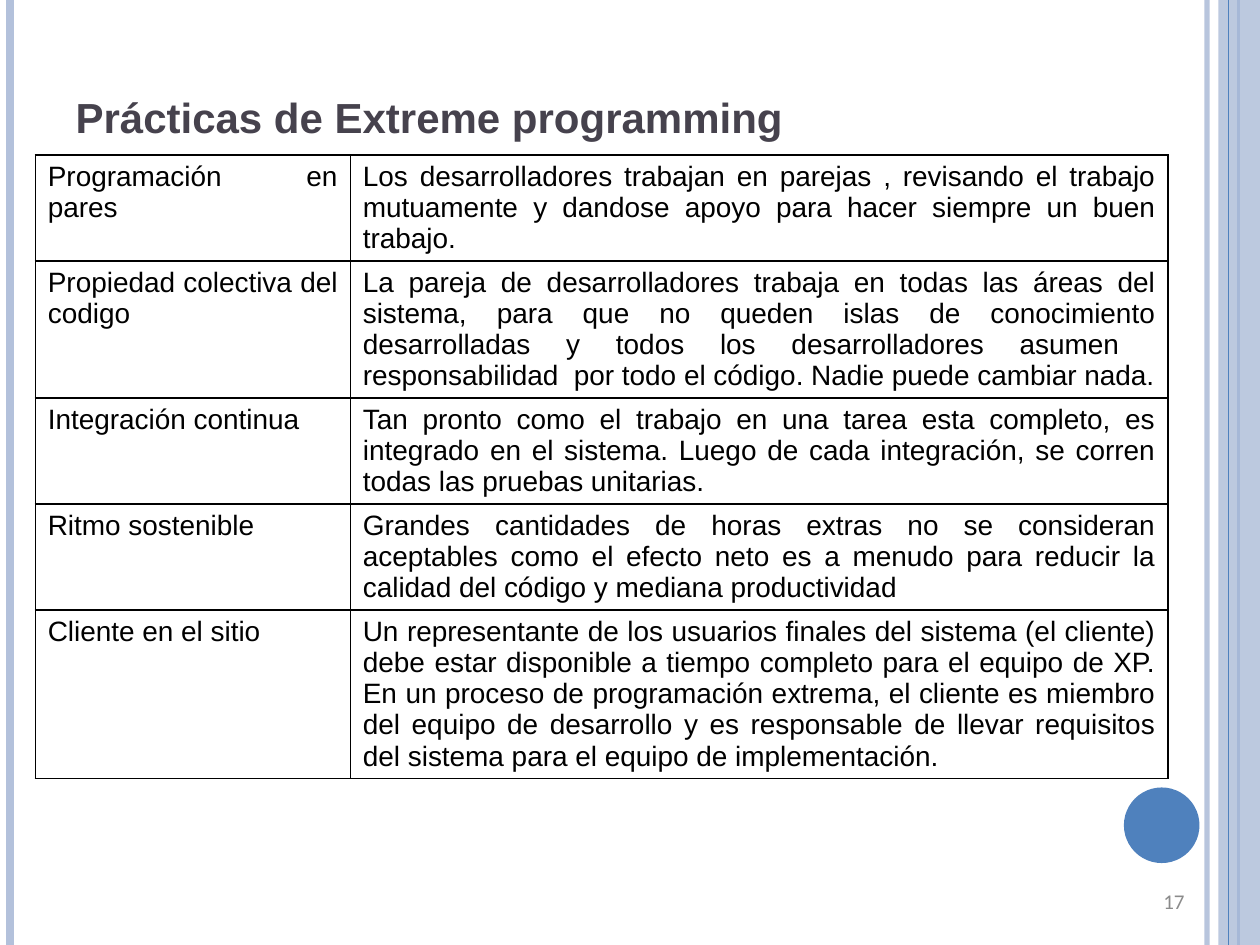
from pptx import Presentation
from pptx.dml.color import RGBColor
from pptx.enum import shapes, text
from pptx.oxml import parse_xml
from pptx.oxml.ns import nsdecls, qn
from pptx.util import Inches, Pt

PALE_BLUE = RGBColor(0xB3, 0xC1, 0xDB)
BLUE = RGBColor(0x4F, 0x81, 0xBD)
TITLE_GREY = RGBColor(0x46, 0x42, 0x4D)
NUMBER_GREY = RGBColor(0x8B, 0x8B, 0x8B)
BLACK = RGBColor(0, 0, 0)

COLUMN_WIDTHS = (2.5, 6.49)
ROW_HEIGHTS = (0.84, 1.09, 0.84, 0.84, 1.33)
PRACTICES = (
    ("Programación en pares",
     "Los desarrolladores trabajan en parejas , revisando el trabajo mutuamente "
     "y dandose apoyo para hacer siempre un buen trabajo."),
    ("Propiedad colectiva del codigo",
     "La pareja de desarrolladores trabaja en todas las áreas del sistema, para "
     "que no queden islas de conocimiento desarrolladas y todos los "
     "desarrolladores asumen  responsabilidad  por todo el código. Nadie puede "
     "cambiar nada."),
    ("Integración continua",
     "Tan pronto como el trabajo en una tarea esta completo, es integrado en el "
     "sistema. Luego de cada integración, se corren todas las pruebas unitarias."),
    ("Ritmo sostenible",
     "Grandes cantidades de horas extras no se consideran aceptables como el "
     "efecto neto es a menudo para reducir la calidad del código y mediana "
     "productividad"),
    ("Cliente en el sitio ",
     "Un representante de los usuarios finales del sistema (el cliente) debe "
     "estar disponible a tiempo completo para el equipo de XP. En un proceso de "
     "programación extrema, el cliente es miembro del equipo de desarrollo y es "
     "responsable de llevar requisitos del sistema para el equipo de "
     "implementación."),
)


def set_alpha(fill_parent, percent):
    color = fill_parent.find(".//" + qn("a:srgbClr"))
    color.append(parse_xml(f'<a:alpha {nsdecls("a")} val="{percent * 1000}"/>'))


def set_font(paragraph, name, size, color, bold=False):
    font = paragraph.font
    font.name, font.size, font.bold = name, Pt(size), bold
    font.color.rgb = color


def add_stripe(slide, x, width, color, alpha=100):
    stripe = slide.shapes.add_connector(
        shapes.MSO_CONNECTOR.STRAIGHT, Inches(x), 0, Inches(x), Inches(7.5))
    stripe.line.width = Pt(width)
    stripe.line.color.rgb = color
    properties = stripe._element.spPr
    properties.append(parse_xml(f'<a:effectLst {nsdecls("a")}/>'))
    if alpha < 100:
        set_alpha(properties, alpha)


def add_plain_shape(slide, kind, left, top, width, height, color, alpha=100):
    shape = slide.shapes.add_shape(
        kind, Inches(left), Inches(top), Inches(width), Inches(height))
    shape.shadow.inherit = False
    shape.fill.solid()
    shape.fill.fore_color.rgb = color
    shape.line.fill.background()
    if alpha < 100:
        set_alpha(shape._element.spPr, alpha)


def add_decoration(slide):
    add_stripe(slide, 9.58, 3, PALE_BLUE, alpha=93)
    add_stripe(slide, 0.08, 4.5, PALE_BLUE)
    add_stripe(slide, 9.83, 1.5, BLUE)
    add_plain_shape(slide, shapes.MSO_SHAPE.RECTANGLE,
                    9.67, 0, 0.33, 7.5, PALE_BLUE, alpha=87)
    add_stripe(slide, 9.75, 0.75, BLUE)
    add_plain_shape(slide, shapes.MSO_SHAPE.OVAL, 8.92, 6.25, 0.6, 0.6, BLUE)


def fill_title(slide, wording):
    title = slide.shapes.title
    title.left, title.top = Inches(0.5), Inches(0.3)
    title.width, title.height = Inches(7.98), Inches(1.25)
    title.text_frame.text = wording
    title.text_frame.vertical_anchor = text.MSO_ANCHOR.MIDDLE
    heading = title.text_frame.paragraphs[0]
    heading.alignment = text.PP_ALIGN.LEFT
    set_font(heading, "Arial", 24, TITLE_GREY, bold=True)


def add_borders(cell):
    properties = cell._tc.get_or_add_tcPr()
    for position, side in enumerate(("lnL", "lnR", "lnT", "lnB")):
        properties.insert(position, parse_xml(
            f'<a:{side} {nsdecls("a")} w="12700"><a:solidFill>'
            f'<a:srgbClr val="{BLACK}"/></a:solidFill></a:{side}>'))


def add_practices(slide):
    table = slide.shapes.add_table(
        len(PRACTICES), len(COLUMN_WIDTHS), Inches(0.28), Inches(1.23),
        Inches(sum(COLUMN_WIDTHS)), Inches(sum(ROW_HEIGHTS))).table
    table.first_row = table.horz_banding = False
    for column, width in zip(table.columns, COLUMN_WIDTHS):
        column.width = Inches(width)
    for row, height, practice in zip(table.rows, ROW_HEIGHTS, PRACTICES):
        row.height = Inches(height)
        for cell, wording in zip(row.cells, practice):
            cell.text = wording
            cell.fill.background()
            add_borders(cell)
            paragraph = cell.text_frame.paragraphs[0]
            paragraph.alignment = text.PP_ALIGN.JUSTIFY
            set_font(paragraph, "Arial", 16, BLACK)


def add_page_number(slide, number):
    frame = slide.shapes.add_textbox(
        Inches(7.17), Inches(6.95), Inches(2.33), Inches(0.4)).text_frame
    frame.word_wrap = True
    frame.vertical_anchor = text.MSO_ANCHOR.MIDDLE
    frame.text = number
    frame.paragraphs[0].alignment = text.PP_ALIGN.RIGHT
    set_font(frame.paragraphs[0], "Calibri", 12, NUMBER_GREY)


def main():
    deck = Presentation()
    deck.slide_width, deck.slide_height = Inches(10), Inches(7.5)
    slide = deck.slides.add_slide(deck.slide_layouts.get_by_name("Title Only"))
    add_decoration(slide)
    fill_title(slide, "Prácticas de Extreme programming")
    add_practices(slide)
    add_page_number(slide, "17")
    deck.save("out.pptx")


if __name__ == "__main__":
    main()
